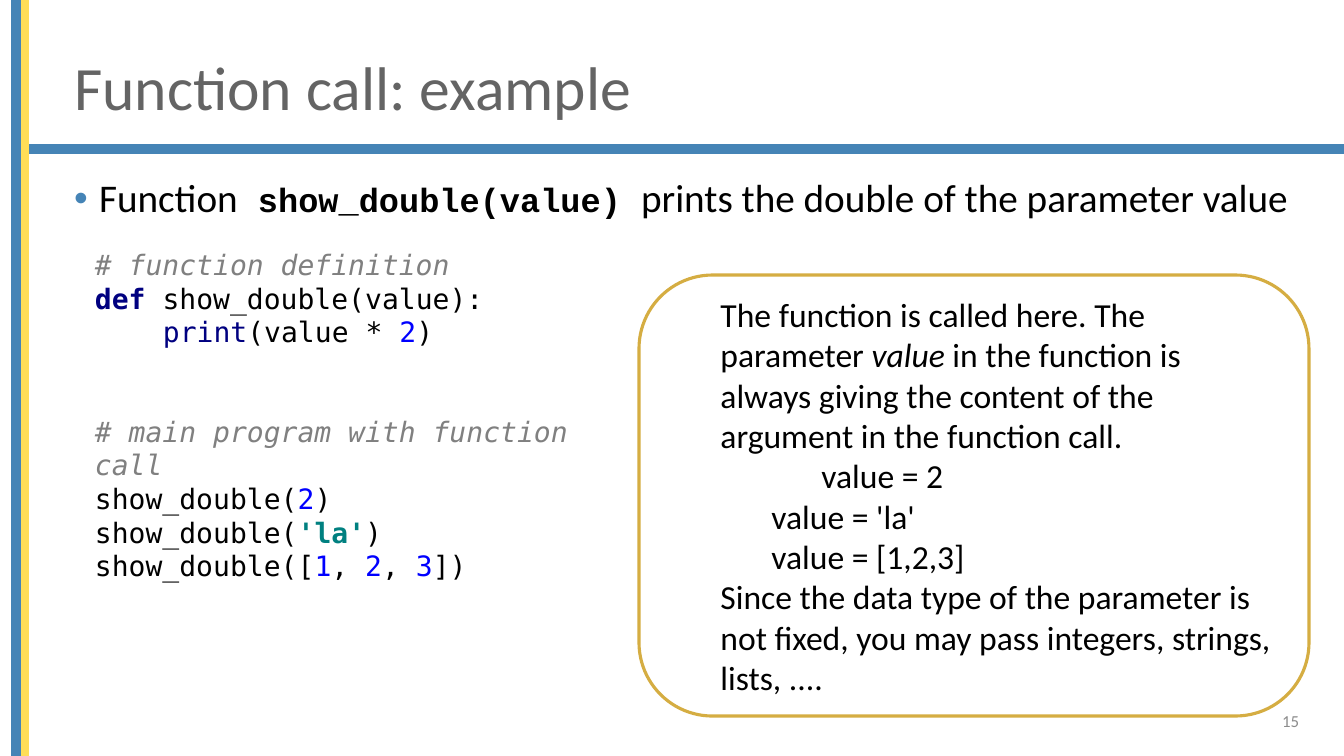
from pptx import Presentation
from pptx.dml.color import RGBColor
from pptx.enum.shapes import MSO_SHAPE as Preset
from pptx.enum.text import MSO_ANCHOR as Anchor, MSO_AUTO_SIZE as AutoSize, PP_ALIGN as Align
from pptx.oxml import parse_xml
from pptx.oxml.ns import nsdecls
from pptx.util import Pt

PIXEL = 914400 / 100.8
WIDTH, HEIGHT = 1344, 756
BLUE, YELLOW, GOLD = "4584B6", "FFDE57", "D5AD42"
BLACK, WHITE, GRAY, PALE = "000000", "FFFFFF", "646464", "8C8C8C"
COMMENT, KEYWORD, NUMBER, STRING = "808080", "000080", "0000FF", "008080"


def px(length):
    """Turn picture pixels into EMU."""
    return round(length * PIXEL)


def color(value):
    """Turn a hex string into a colour."""
    return RGBColor.from_string(value)


def add_span(para, text, size=24, font="Calibri", ink=BLACK, bold=False, italic=False):
    """Append one formatted run to a paragraph."""
    span = para.add_run()
    span.text = text
    span.font.size, span.font.name = Pt(size), font
    span.font.bold, span.font.italic = bold, italic
    span.font.color.rgb = color(ink)


def indent(para, left, first=0):
    """Set the left margin and first-line indent of a paragraph."""
    properties = para._p.get_or_add_pPr()
    properties.set("marL", str(px(left)))
    properties.set("indent", str(px(first)))


def add_bullet(para):
    """Give a paragraph a blue hanging bullet."""
    indent(para, 25, -25)
    for content in (f'<a:buClr {nsdecls("a")}><a:srgbClr val="{BLUE}"/></a:buClr>',
                    f'<a:buFont {nsdecls("a")} typeface="Arial"/>',
                    f'<a:buChar {nsdecls("a")} char="\u2022"/>'):
        para._p.get_or_add_pPr().append(parse_xml(content))


def write(frame, lines, **style):
    """Fill a frame with (left indent, space before, spans) lines."""
    for index, (left, gap, spans) in enumerate(lines):
        para = frame.paragraphs[0] if index == 0 else frame.add_paragraph()
        para.alignment = Align.LEFT
        para.space_before = Pt(gap)
        indent(para, left)
        for text, changes in spans:
            add_span(para, text, **{**style, **changes})


def add_panel(page, preset, box, fill, line=None, weight=1):
    """Add a flat shape with wrapped, vertically centred text."""
    panel = page.shapes.add_shape(preset, *map(px, box))
    panel.shadow.inherit = False
    panel.fill.solid()
    panel.fill.fore_color.rgb = color(fill)
    if line:
        panel.line.color.rgb = color(line)
        panel.line.width = Pt(weight)
    else:
        panel.line.fill.background()
    panel.text_frame.word_wrap = True
    panel.text_frame.vertical_anchor = Anchor.MIDDLE
    return panel


def place(holder, box, anchor):
    """Move a placeholder and return its only paragraph, set left."""
    holder.left, holder.top, holder.width, holder.height = map(px, box)
    frame = holder.text_frame
    frame.auto_size, frame.vertical_anchor = AutoSize.NONE, anchor
    para = frame.paragraphs[0]
    para.alignment, para.line_spacing = Align.LEFT, 0.9
    return para


def add_bars(page, box):
    """Draw the title rule and the two bars at the left edge."""
    left, top, width, height = box
    thick = 8
    bars = [((left + 19, top + 145, width - 19, thick), BLUE),
            ((left + 20, top, thick, height), YELLOW),
            ((left + 12, top, thick, height), BLUE)]
    for bar, ink in bars:
        add_panel(page, Preset.RECTANGLE, bar, ink, ink)


def add_title(page, box):
    """Write the slide title."""
    para = place(page.shapes.title, box, Anchor.MIDDLE)
    add_span(para, "Function call: example", size=44, ink=GRAY)


def add_body(page, box):
    """Write the bulleted description of the function."""
    para = place(page.placeholders[1], box, Anchor.TOP)
    para.space_before = Pt(10)
    add_bullet(para)
    add_span(para, "Function", size=28)
    add_span(para, " show_double(value) ", font="Courier New", bold=True)
    add_span(para, "prints the double of the parameter value", size=28)


def add_note(page, box):
    """Explain the calls in a rounded frame."""
    note = add_panel(page, Preset.ROUNDED_RECTANGLE, box, WHITE, GOLD, 2.25)
    write(note.text_frame, [
        (50, 0, [("The function is called here. The parameter ", {}),
                 ("value", {"italic": True}),
                 (" in the function is always giving the content of the "
                  "argument in the function call.", {})]),
        (151, 0, [("value = 2", {})]),
        (101, 0, [("value = 'la'", {})]),
        (101, 0, [("value = [1,2,3]", {})]),
        (50, 0, [("Since the data type of the parameter is not fixed, "
                  "you may pass integers, strings, lists, ....", {})]),
    ])


def add_code(page, box):
    """Show the program with coloured syntax."""
    plain, number = {}, {"ink": NUMBER}
    comment = {"ink": COMMENT, "italic": True}
    code = add_panel(page, Preset.RECTANGLE, box, WHITE)
    code.text_frame.margin_top = code.text_frame.margin_bottom = 0
    write(code.text_frame, [
        (0, 0, [("# function definition", comment)]),
        (0, 0, [("def ", {"ink": KEYWORD, "bold": True}), ("show_double(value):", plain)]),
        (68, 0, [("print", {"ink": KEYWORD}), ("(value * ", plain), ("2", number), (")", plain)]),
        (0, 47, [("# main program with function call", comment)]),
        (0, 0, [("show_double(", plain), ("2", number), (")", plain)]),
        (0, 0, [("show_double(", plain), ("'la'", {"ink": STRING, "bold": True}), (")", plain)]),
        (0, 0, [("show_double([", plain), ("1", number), (", ", plain), ("2", number),
                (", ", plain), ("3", number), ("])", plain)]),
    ], size=20, font="DejaVu Sans Mono")


def add_page_number(page, box):
    """Write the page number at the lower right."""
    frame = page.shapes.add_textbox(*map(px, box)).text_frame
    frame.word_wrap, frame.vertical_anchor = True, Anchor.MIDDLE
    frame.paragraphs[0].alignment = Align.RIGHT
    add_span(frame.paragraphs[0], "15", size=12, ink=PALE)


def build_example(deck):
    """Add the function call slide."""
    page = deck.slides.add_slide(deck.slide_layouts[1])
    add_bars(page, (0, 0, WIDTH, HEIGHT))
    add_title(page, (64, 40, 1187, 102))
    add_body(page, (64, 174, 1245, 510))
    add_page_number(page, (1007, 701, 302, 40))
    add_note(page, (639, 275, 670, 441))
    add_code(page, (85, 244, 533, 342))


deck = Presentation()
deck.slide_width, deck.slide_height = px(WIDTH), px(HEIGHT)
build_example(deck)
deck.save("out.pptx")
